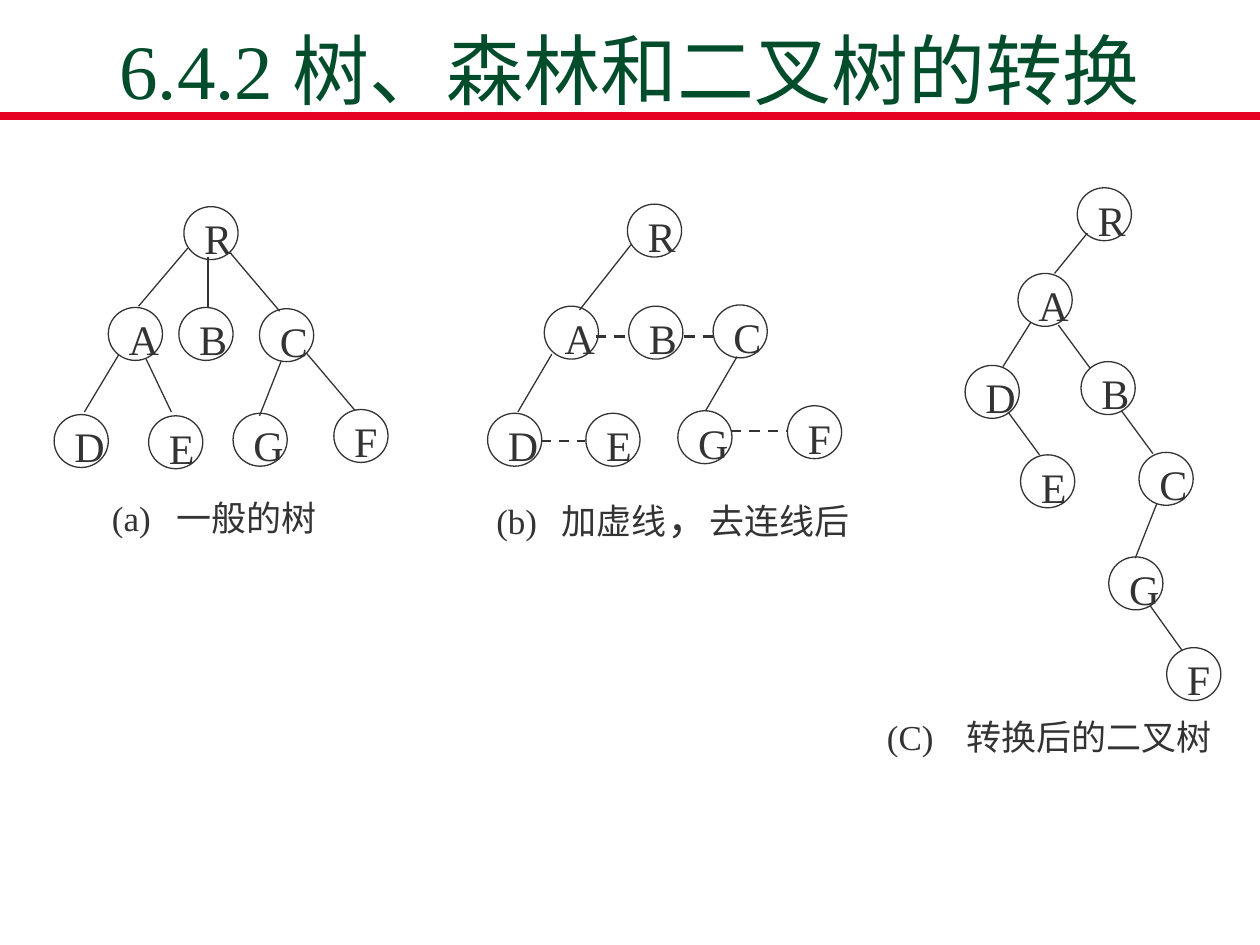
from lxml.etree import SubElement
from pptx import Presentation
from pptx.dml.color import RGBColor
from pptx.enum.dml import MSO_LINE
from pptx.enum.shapes import MSO_CONNECTOR, MSO_SHAPE
from pptx.enum.text import MSO_ANCHOR, PP_ALIGN
from pptx.oxml.ns import qn
from pptx.util import Inches, Pt

COLUMN = ROW = Inches(0.1)
NODE_WIDTH, NODE_HEIGHT = 4.3, 4.2
LATIN_FONT, CHINESE_FONT = "Times New Roman", "Noto Sans CJK SC"
INK, GREEN, RED = "333333", "004C2B", "E60223"

GENERAL_TREE = {
    "nodes": {"R": (14.6, 16.4), "A": (8.6, 24.4), "B": (14.2, 24.4), "C": (20.6, 24.5),
              "D": (4.3, 32.9), "E": (11.8, 33), "G": (18.5, 32.8), "F": (26.5, 32.5)},
    "edges": [(14.9, 19.7, 11, 24.3), (16.5, 20.4, 16.5, 24.4), (18.3, 20.1, 22.2, 24.7),
              (9.4, 28.2, 6.7, 32.7), (11.6, 28.5, 13.6, 32.7),
              (24.3, 28, 28.2, 32.6), (22.3, 28.7, 20.6, 33)],
    "sibling_links": [],
    "caption": (7.9, 38.8, 19, 3.8),
    "tab": 5.1,
    "text": [("(a)\t一般的树", 20, LATIN_FONT)],
}
LINKED_TREE = {
    "nodes": {"R": (49.8, 16.2), "A": (43.2, 24.3), "B": (49.9, 24.3), "C": (56.6, 24.2),
              "D": (38.7, 32.8), "E": (46.5, 32.8), "G": (53.8, 32.6), "F": (62.5, 32.2)},
    "edges": [(50.1, 19.4, 46, 24.6), (43.8, 28.1, 41.1, 32.7), (58.5, 28.3, 56, 32.6)],
    "sibling_links": [(47.3, 26.7, 49.9, 26.7), (54.3, 26.7, 56.7, 26.7),
                      (42.9, 35, 46.4, 35), (58, 34.2, 62.4, 34.2)],
    "caption": (38.4, 38.8, 30.9, 3.8),
    "tab": 5.2,
    "text": [("(b)\t加虚线", 20, LATIN_FONT), ("，", 24, CHINESE_FONT),
             ("去连线后", 20, LATIN_FONT)],
}
BINARY_TREE = {
    "nodes": {"R": (85.5, 14.9), "A": (80.8, 21.7), "D": (76.6, 29), "B": (85.8, 28.7),
              "E": (81, 36.1), "C": (90.4, 35.9), "G": (88, 44.2), "F": (92.6, 51.4)},
    "edges": [(86.3, 18.5, 83.7, 21.7), (81.8, 25.6, 79.6, 29.1), (84, 25.8, 86.5, 29.2),
              (80, 32.7, 82.5, 36.1), (89, 32.6, 91.5, 36), (91.8, 40, 90.1, 44.3),
              (91.3, 48.1, 93.8, 51.6)],
    "sibling_links": [],
    "caption": (69.4, 56, 28.1, 4.3),
    "tab": 6.3,
    "text": [("(C)\t转换后的二叉树", 20, LATIN_FONT)],
}


def color(hex_value):
    """Turn a hex string into a colour."""
    return RGBColor.from_string(hex_value)


def place(left, top, width, height):
    """Convert grid columns and rows into lengths."""
    return tuple(round(length) for length in
                 (left * COLUMN, top * ROW, width * COLUMN, height * ROW))


def style_font(font, size, hex_value):
    """Set the common typeface, size and colour."""
    font.name = LATIN_FONT
    font.size = Pt(size)
    font.color.rgb = color(hex_value)


def add_line(shapes, ends, hex_value=INK, width=0.75, dashed=False):
    """Draw a straight line between two grid points."""
    line = shapes.add_connector(MSO_CONNECTOR.STRAIGHT, *place(*ends))
    line.line.color.rgb = color(hex_value)
    line.line.width = Pt(width)
    if dashed:
        line.line.dash_style = MSO_LINE.DASH
    SubElement(line._element.spPr, qn("a:effectLst"))


def start_label(shape):
    """Prepare an unwrapped, left-aligned, vertically centred paragraph."""
    frame = shape.text_frame
    frame.word_wrap = False
    frame.vertical_anchor = MSO_ANCHOR.MIDDLE
    paragraph = frame.paragraphs[0]
    paragraph.alignment = PP_ALIGN.LEFT
    paragraph.line_spacing = 1.2
    return paragraph


def add_node(shapes, letter, left, top):
    """Draw one lettered tree node."""
    node = shapes.add_shape(MSO_SHAPE.OVAL, *place(left, top, NODE_WIDTH, NODE_HEIGHT))
    node.shadow.inherit = False
    node.fill.background()
    node.line.color.rgb = color(INK)
    node.line.width = Pt(0.75)
    paragraph = start_label(node)
    paragraph.text = letter
    style_font(paragraph.font, 24, INK)


def add_caption(shapes, box, tab, runs):
    """Write a caption whose wording starts at a tab stop."""
    paragraph = start_label(shapes.add_textbox(*place(*box)))
    tabs = SubElement(paragraph._p.get_or_add_pPr(), qn("a:tabLst"))
    SubElement(tabs, qn("a:tab"), pos=str(round(tab * COLUMN)), algn="l")
    style_font(paragraph.font, 20, INK)
    for text, size, typeface in runs:
        run = paragraph.add_run()
        run.text = text
        if typeface != LATIN_FONT:
            run.font.name = typeface
            run.font.size = Pt(size)


def add_tree(slide, tree):
    """Draw a tree with its caption as one group."""
    shapes = slide.shapes.add_group_shape().shapes
    for letter, corner in tree["nodes"].items():
        add_node(shapes, letter, *corner)
    for ends in tree["edges"]:
        add_line(shapes, ends)
    for ends in tree["sibling_links"]:
        add_line(shapes, ends, width=1.5, dashed=True)
    add_caption(shapes, tree["caption"], tree["tab"], tree["text"])


def add_title(slide, text):
    """Write the centred slide title."""
    frame = slide.shapes.add_textbox(*place(7.5, 2.6, 85, 6.5)).text_frame
    frame.word_wrap = True
    frame.vertical_anchor = MSO_ANCHOR.BOTTOM
    frame.margin_bottom = 0
    paragraph = frame.paragraphs[0]
    paragraph.text = text
    paragraph.alignment = PP_ALIGN.CENTER
    style_font(paragraph.font, 44, GREEN)


def main():
    """Build the slide and save it."""
    presentation = Presentation()
    presentation.slide_width, presentation.slide_height = 100 * COLUMN, 75 * ROW
    slide = presentation.slides.add_slide(presentation.slide_layouts[6])
    add_line(slide.shapes, (0, 9.2, 100, 9.2), RED, 4.5)
    add_title(slide, "6.4.2 树、森林和二叉树的转换")
    for tree in (GENERAL_TREE, LINKED_TREE, BINARY_TREE):
        add_tree(slide, tree)
    presentation.save("out.pptx")


if __name__ == "__main__":
    main()
